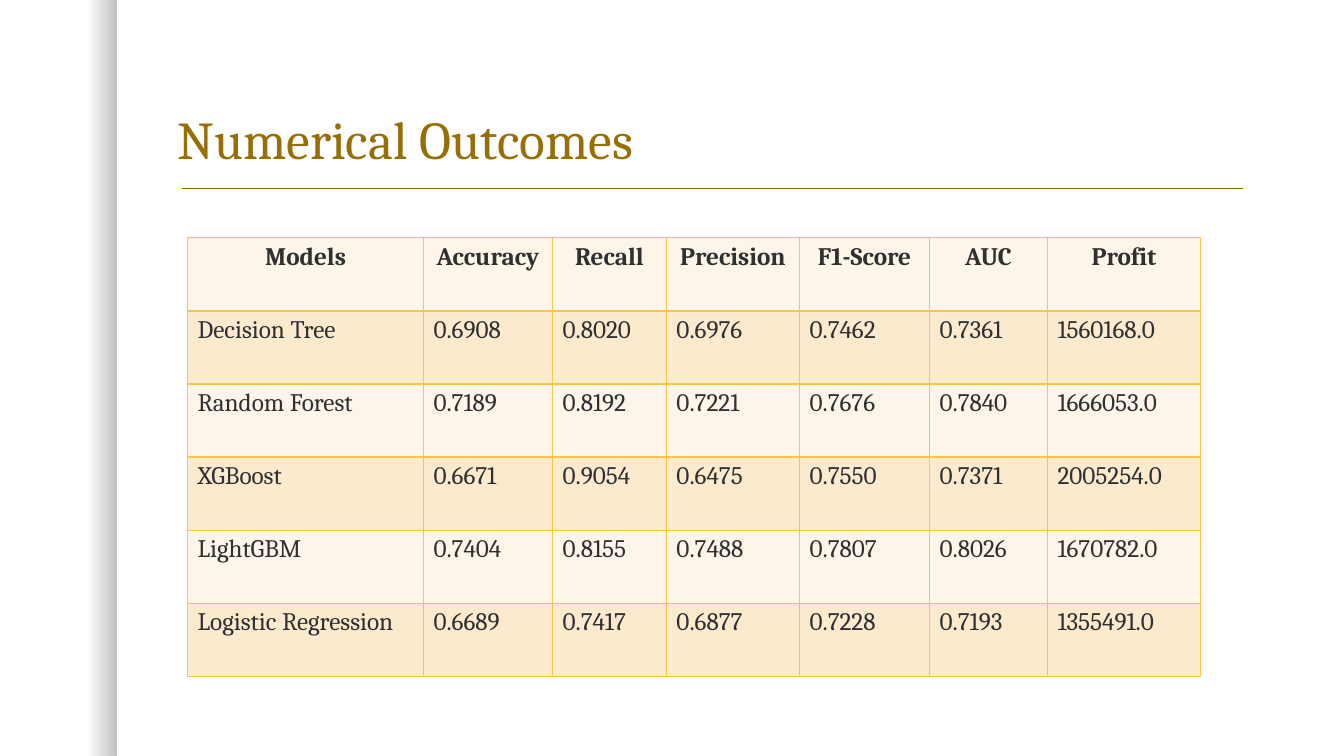
from lxml.etree import SubElement
from pptx import Presentation
from pptx.dml.color import RGBColor
from pptx.enum.shapes import MSO_CONNECTOR, MSO_SHAPE
from pptx.enum.text import MSO_ANCHOR, PP_ALIGN
from pptx.oxml import parse_xml
from pptx.oxml.ns import nsdecls, qn
from pptx.util import Inches, Pt

TITLE = "Numerical Outcomes"
ROWS = [
    ("Models", "Accuracy", "Recall", "Precision", "F1-Score", "AUC", "Profit"),
    ("Decision Tree", "0.6908", "0.8020", "0.6976", "0.7462", "0.7361", "1560168.0"),
    ("Random Forest", "0.7189", "0.8192", "0.7221", "0.7676", "0.7840", "1666053.0"),
    ("XGBoost", "0.6671", "0.9054", "0.6475", "0.7550", "0.7371", "2005254.0"),
    ("LightGBM", "0.7404", "0.8155", "0.7488", "0.7807", "0.8026", "1670782.0"),
    ("Logistic Regression", "0.6689", "0.7417", "0.6877", "0.7228", "0.7193", "1355491.0"),
]
COL_WIDTHS = [2.34, 1.28, 1.13, 1.32, 1.29, 1.17, 1.52]
ROW_HEIGHT = 0.725

FONT = "Cambria"
BROWN = RGBColor(0x98, 0x6F, 0x07)
INK = RGBColor(0x30, 0x30, 0x30)
GOLD = RGBColor(0xF7, 0xC5, 0x47)
BLACK = RGBColor(0, 0, 0)
BANDS = [RGBColor(0xFD, 0xF5, 0xE9), RGBColor(0xFC, 0xEA, 0xCF)]


def set_font(p, size, color, bold=False):
    p.font.name = FONT
    p.font.size = Pt(size)
    p.font.color.rgb = color
    p.font.bold = bold


def add_edge_shade(slide):
    sp = slide.shapes.add_shape(MSO_SHAPE.RECTANGLE, 0, 0, Inches(1.16), Inches(7.5))
    sp.shadow.inherit = False
    sp.line.fill.background()
    sp.fill.gradient()
    sp.fill.gradient_angle = 0
    for stop, position, alpha in zip(sp.fill.gradient_stops, (0.75, 1), (0, 25000)):
        stop.position = position
        stop.color.rgb = BLACK
    for clr, alpha in zip(sp.element.spPr.iter(qn("a:srgbClr")), (0, 25000)):
        SubElement(clr, qn("a:alpha")).set("val", str(alpha))


def add_rule(slide):
    line = slide.shapes.add_connector(
        MSO_CONNECTOR.STRAIGHT, Inches(1.81), Inches(1.87), Inches(12.33), Inches(1.87))
    line.line.color.rgb = BROWN
    line.line.width = Pt(1)
    SubElement(line.element.spPr, qn("a:effectLst"))


def add_title(slide):
    title = slide.shapes.title
    title.left, title.top = Inches(1.66), Inches(0.42)
    title.width, title.height = Inches(10.75), Inches(1.33)
    tf = title.text_frame
    tf.text = TITLE
    tf.vertical_anchor = MSO_ANCHOR.BOTTOM
    p = tf.paragraphs[0]
    p.alignment = PP_ALIGN.LEFT
    p.line_spacing = 0.9
    set_font(p, 38, BROWN)


def set_borders(cell):
    tcPr = cell._tc.get_or_add_tcPr()
    for side in ("lnL", "lnR", "lnT", "lnB"):
        tcPr.append(parse_xml(
            f'<a:{side} {nsdecls("a")} w="{Pt(1)}"><a:solidFill>'
            f'<a:srgbClr val="{GOLD}"/></a:solidFill></a:{side}>'))


def add_results(slide):
    table = slide.shapes.add_table(
        len(ROWS), len(COL_WIDTHS), Inches(1.86), Inches(2.36),
        Inches(sum(COL_WIDTHS)), Inches(ROW_HEIGHT * len(ROWS))).table
    table.first_row = table.horz_banding = False
    for column, width in zip(table.columns, COL_WIDTHS):
        column.width = Inches(width)
    for i, values in enumerate(ROWS):
        table.rows[i].height = Inches(ROW_HEIGHT)
        for j, value in enumerate(values):
            cell = table.cell(i, j)
            cell.text = value
            set_borders(cell)
            cell.fill.solid()
            cell.fill.fore_color.rgb = BANDS[i % 2]
            p = cell.text_frame.paragraphs[0]
            p.alignment = PP_ALIGN.CENTER if i == 0 else PP_ALIGN.LEFT
            set_font(p, 18, INK, bold=i == 0)


def main():
    prs = Presentation()
    prs.slide_width, prs.slide_height = Inches(13.33), Inches(7.5)
    slide = prs.slides.add_slide(prs.slide_layouts[5])
    add_edge_shade(slide)
    add_rule(slide)
    add_title(slide)
    add_results(slide)
    prs.save("out.pptx")


if __name__ == "__main__":
    main()
